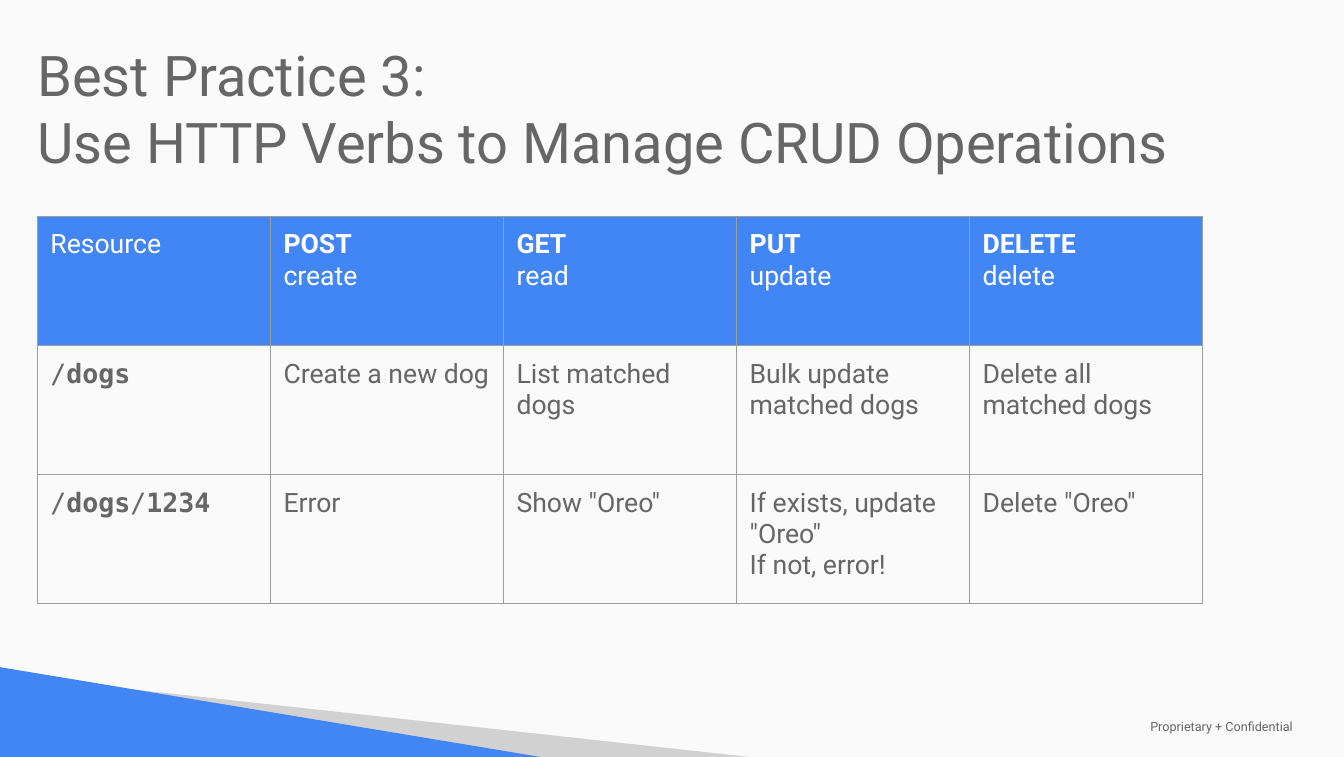
"""Builds a slide with a table of HTTP verbs and the CRUD operations they manage."""
from dataclasses import dataclass

from lxml.etree import SubElement
from pptx import Presentation
from pptx.dml.color import RGBColor
from pptx.enum.text import MSO_ANCHOR as Anchor, MSO_AUTO_SIZE as AutoSize, PP_ALIGN as Align
from pptx.oxml.ns import qn
from pptx.util import Pt

PX = 9144


@dataclass(frozen=True)
class Theme:
    background: str = "FAFAFA"
    blue: str = "4285F4"
    shade: str = "D1D1D1"
    text: str = "666666"
    header_text: str = "FFFFFF"
    border: str = "9E9E9E"
    font: str = "Roboto"
    code_font: str = "DejaVu Sans Mono"
    title_size: int = 40
    table_size: int = 19
    footer_size: int = 9
    border_width: float = 0.75
    margin: int = 13


theme = Theme()


def write(frame, lines, size, color, font=theme.font):
    """Write one paragraph per line; text between asterisks is bold."""
    for index, line in enumerate(lines):
        paragraph = frame.add_paragraph() if index else frame.paragraphs[0]
        paragraph.alignment = Align.LEFT
        for position, piece in enumerate(line.split("*")):
            if piece:
                run = paragraph.add_run()
                run.text = piece
                run.font.name = font
                run.font.size = Pt(size)
                run.font.bold = position % 2 == 1
                run.font.color.rgb = RGBColor.from_string(color)


def set_margins(box):
    """Give a text frame or table cell the same margin on every side."""
    box.margin_left = box.margin_right = theme.margin * PX
    box.margin_top = box.margin_bottom = theme.margin * PX


presentation = Presentation()
presentation.slide_width = 1332 * PX
presentation.slide_height = 750 * PX
slide = presentation.slides.add_slide(presentation.slide_layouts[5])
slide.background.fill.solid()
slide.background.fill.fore_color.rgb = RGBColor.from_string(theme.background)

wedges = [
    (theme.shade, [(113, 681), (743, 750), (534, 750)]),
    (theme.blue, [(0, 661), (0, 750), (536, 750)]),
]
for color, points in wedges:
    builder = slide.shapes.build_freeform(*points[0], scale=PX)
    builder.add_line_segments(points[1:], close=True)
    wedge = builder.convert_to_shape()
    wedge.shadow.inherit = False
    wedge.fill.solid()
    wedge.fill.fore_color.rgb = RGBColor.from_string(color)
    wedge.line.fill.background()

title = slide.shapes.title
title.left, title.top, title.width, title.height = 24 * PX, 32 * PX, 1179 * PX, 154 * PX
footer = slide.shapes.add_textbox(1127 * PX, 711 * PX, 199 * PX, 18 * PX)
texts = [
    (title, Anchor.BOTTOM, theme.title_size,
     ["Best Practice 3:", "Use HTTP Verbs to Manage CRUD Operations"]),
    (footer, Anchor.MIDDLE, theme.footer_size, ["Proprietary + Confidential"]),
]
for shape, anchor, size, lines in texts:
    frame = shape.text_frame
    frame.word_wrap = True
    frame.auto_size = AutoSize.NONE
    frame.vertical_anchor = anchor
    set_margins(frame)
    write(frame, lines, size, theme.text)

rows = [
    [["Resource"], ["*POST*", "create"], ["*GET*", "read"],
     ["*PUT*", "update"], ["*DELETE*", "delete"]],
    [["/*dogs*"], ["Create a new dog"], ["List matched dogs"],
     ["Bulk update matched dogs"], ["Delete all matched dogs"]],
    [["/*dogs*/*1234*"], ["Error"], ['Show "Oreo"'],
     ['If exists, update "Oreo"', "If not, error!"], ['Delete "Oreo"']],
]
column_width, row_height = 231, 128
table = slide.shapes.add_table(
    len(rows), len(rows[0]), 37 * PX, 214 * PX,
    column_width * len(rows[0]) * PX, row_height * len(rows) * PX).table
table.first_row = False
table.horz_banding = False
for column in table.columns:
    column.width = column_width * PX
for row in table.rows:
    row.height = row_height * PX

for row_index, row in enumerate(rows):
    for column_index, lines in enumerate(row):
        cell = table.cell(row_index, column_index)
        set_margins(cell)
        cell.vertical_anchor = Anchor.TOP
        properties = cell._tc.get_or_add_tcPr()
        for side in ("a:lnL", "a:lnR", "a:lnT", "a:lnB"):
            border = SubElement(properties, qn(side), w=str(Pt(theme.border_width)))
            fill = SubElement(border, qn("a:solidFill"))
            SubElement(fill, qn("a:srgbClr"), val=theme.border)
        is_header = row_index == 0
        if is_header:
            cell.fill.solid()
            cell.fill.fore_color.rgb = RGBColor.from_string(theme.blue)
        else:
            cell.fill.background()
        is_code = column_index == 0 and not is_header
        write(cell.text_frame, lines, theme.table_size,
              theme.header_text if is_header else theme.text,
              theme.code_font if is_code else theme.font)

presentation.save("out.pptx")
